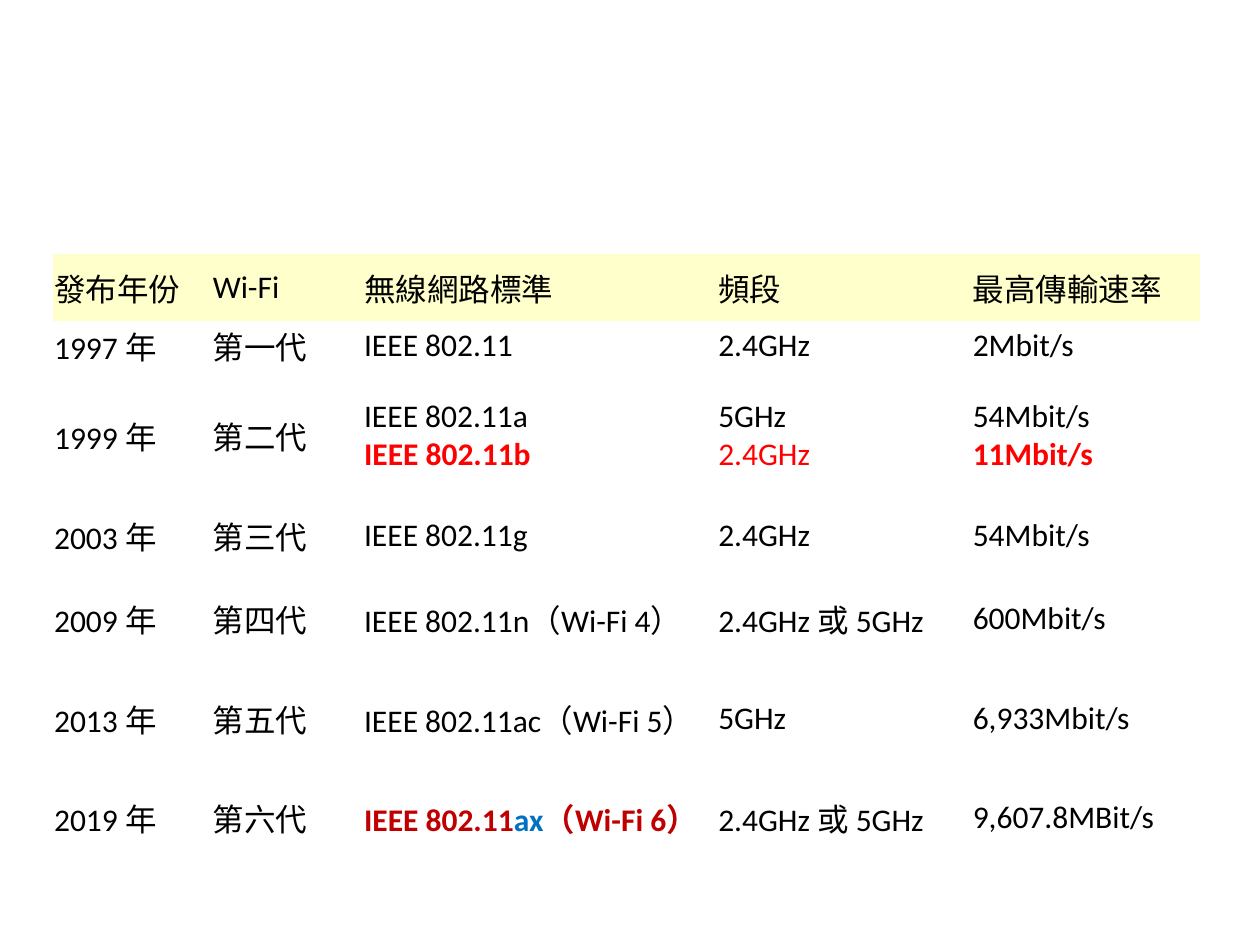
"""Build a slide with a table of Wi-Fi generations."""
from pptx import Presentation
from pptx import util as u
from pptx.dml.color import RGBColor
from pptx.enum import text

THEME = {
    "font": "Calibri", "size": 18,
    "ink": "000000", "header": "FFFFCC", "body": "FFFFFF",
    "red": "FF0000", "dark_red": "C00000", "blue": "0070C0",
}
COLS = [3.2, 3.05, 7.14, 5.13, 4.62]
HEIGHTS = [1.35, 0.69, 2.67, 1.35, 2.01, 2.01, 2.01]
BREAK = "\n"
ROWS = [
    ["發布年份", "Wi-Fi", "無線網路標準", "頻段", "最高傳輸速率"],
    ["1997 年", "第一代", "IEEE 802.11", "2.4GHz", "2Mbit/s"],
    ["1999 年", "第二代",
     ["IEEE 802.11a", BREAK, ("IEEE 802.11b", "red", True)],
     ["5GHz", BREAK, ("2.4GHz", "red", False)],
     ["54Mbit/s", BREAK, ("11Mbit/s", "red", True)]],
    ["2003 年", "第三代", "IEEE 802.11g", "2.4GHz", "54Mbit/s"],
    ["2009 年", "第四代", "IEEE 802.11n（Wi-Fi 4）", "2.4GHz 或 5GHz", "600Mbit/s"],
    ["2013 年", "第五代", "IEEE 802.11ac（Wi-Fi 5）", "5GHz", "6,933Mbit/s"],
    ["2019 年", "第六代",
     [("IEEE 802.11", "dark_red", True), ("ax", "blue", True),
      ("（Wi-Fi 6）", "dark_red", True)],
     "2.4GHz 或 5GHz", "9,607.8MBit/s"],
]
NO_GRID = "{2D5ABB26-0587-4C30-8999-92F81FD0307C}"


def add_run(p, words, color="ink", bold=False):
    r = p.add_run()
    r.text = words
    r.font.name = THEME["font"]
    r.font.size = u.Pt(THEME["size"])
    r.font.bold = bold
    r.font.color.rgb = RGBColor.from_string(THEME[color])


prs = Presentation()
prs.slide_width, prs.slide_height = u.Cm(25.4), u.Cm(19.05)
s = prs.slides.add_slide(prs.slide_layouts[6])

frame = s.shapes.add_table(len(ROWS), len(COLS), u.Cm(1.06), u.Cm(5.12),
                           u.Cm(sum(COLS)), u.Cm(sum(HEIGHTS)))
table = frame.table
table.first_row = table.horz_banding = False
table._tbl.tblPr[0].text = NO_GRID
for column, width in zip(table.columns, COLS):
    column.width = u.Cm(width)

for i, (row, height, contents) in enumerate(zip(table.rows, HEIGHTS, ROWS)):
    row.height = u.Cm(height)
    for cell, content in zip(row.cells, contents):
        cell.fill.solid()
        cell.fill.fore_color.rgb = RGBColor.from_string(THEME["body" if i else "header"])
        cell.vertical_anchor = text.MSO_ANCHOR.MIDDLE
        cell.margin_left = cell.margin_right = u.Cm(0.03)
        cell.margin_top = cell.margin_bottom = u.Cm(0.03)
        p = cell.text_frame.paragraphs[0]
        for part in [content] if isinstance(content, str) else content:
            if part == BREAK:
                p.add_line_break()
            elif isinstance(part, str):
                add_run(p, part)
            else:
                words, color, bold = part
                add_run(p, words, color=color, bold=bold)

prs.save("out.pptx")
